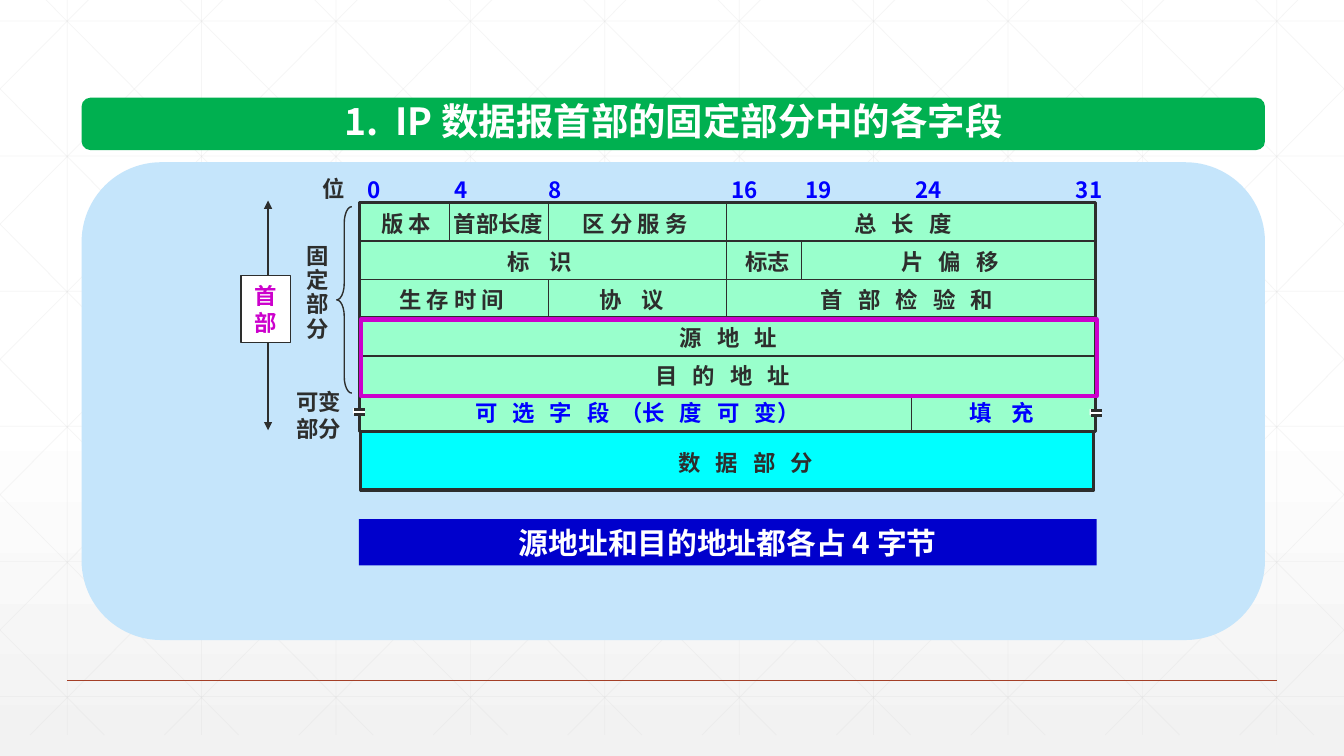
from dataclasses import dataclass

from lxml import etree
from pptx import Presentation
from pptx.dml.color import RGBColor
from pptx.enum.shapes import MSO_CONNECTOR, MSO_SHAPE
from pptx.enum.text import MSO_ANCHOR, PP_ALIGN
from pptx.oxml.ns import qn
from pptx.util import Pt

RECT = MSO_SHAPE.RECTANGLE
ROUNDED = MSO_SHAPE.ROUNDED_RECTANGLE
BRACE = MSO_SHAPE.LEFT_BRACE
STRAIGHT = MSO_CONNECTOR.STRAIGHT
MIDDLE = MSO_ANCHOR.MIDDLE
LEFT, CENTER = PP_ALIGN.LEFT, PP_ALIGN.CENTER

FONT = "Noto Sans CJK SC"
WIDTH, HEIGHT = 960, 540
COLORS = {
    "white": "FFFFFF", "haze": "F2F2F2", "grid": "D9D9D9", "rule": "A43F27",
    "title": "00B050", "panel": "C5E5FB", "header": "99FFCC", "data": "00FFFF",
    "ink": "2D2E2D", "bit": "0000FF", "accent": "CC00CC", "note": "0000CC",
}
Runs = tuple[tuple[str, float], ...]  # text and letter spacing in points


@dataclass
class Box:
    x: float
    y: float
    w: float
    h: float
    fill: str | None = None
    line: str | None = None
    weight: float = 1
    kind: int = RECT


@dataclass
class Label:
    x: float
    y: float
    w: float
    lines: tuple[Runs, ...]
    color: str = "ink"
    h: float = 28.8
    size: float = 16
    align: int = LEFT
    pitch: float | None = None
    inset: float = 9.6


@dataclass
class Line:
    x1: float
    y1: float
    x2: float
    y2: float
    color: str = "ink"
    weight: float = 1


def rgb(name: str) -> RGBColor:
    return RGBColor.from_string(COLORS[name])


def plain(text: str) -> Runs:
    return ((text, 0),)


def spread(text: str, gap: float = 3.6) -> Runs:
    return ((text[:-1], gap), (text[-1], 0))


def add_box(shapes, box: Box):
    shape = shapes.add_shape(box.kind, Pt(box.x), Pt(box.y), Pt(box.w), Pt(box.h))
    shape.shadow.inherit = False
    if box.fill:
        shape.fill.solid()
        shape.fill.fore_color.rgb = rgb(box.fill)
    else:
        shape.fill.background()
    if box.line:
        shape.line.color.rgb = rgb(box.line)
        shape.line.width = Pt(box.weight)
    else:
        shape.line.fill.background()
    return shape


def add_line(shapes, line: Line):
    connector = shapes.add_connector(
        STRAIGHT, Pt(line.x1), Pt(line.y1), Pt(line.x2), Pt(line.y2))
    connector.line.color.rgb = rgb(line.color)
    connector.line.width = Pt(line.weight)
    etree.SubElement(connector._element.spPr, qn("a:effectLst"))
    return connector


def write(shape, label: Label) -> None:
    frame = shape.text_frame
    frame.word_wrap = False
    frame.vertical_anchor = MIDDLE
    frame.margin_left = frame.margin_right = Pt(label.inset)
    frame.margin_top = frame.margin_bottom = Pt(label.inset / 2)
    for i, runs in enumerate(label.lines):
        paragraph = frame.add_paragraph() if i else frame.paragraphs[0]
        paragraph.alignment = label.align
        if label.pitch:
            paragraph.line_spacing = Pt(label.pitch)
        for text, gap in runs:
            run = paragraph.add_run()
            run.text = text
            run.font.name, run.font.size, run.font.bold = FONT, Pt(label.size), True
            run.font.color.rgb = rgb(label.color)
            properties = run.font._element
            etree.SubElement(properties, qn("a:ea")).set("typeface", FONT)
            if gap:
                properties.set("spc", str(round(gap * 100)))


def add_label(shapes, label: Label) -> None:
    write(shapes.add_textbox(Pt(label.x), Pt(label.y), Pt(label.w), Pt(label.h)), label)


def add_backdrop(slide) -> None:
    fill = slide.background.fill
    fill.gradient()
    fill.gradient_angle = 270
    for stop, color, position in zip(fill.gradient_stops, ("white", "haze"), (0.53, 1)):
        stop.color.rgb = rgb(color)
        stop.position = position

    top, bottom, step, run = -15, 525, 96, 536.5
    slope = (bottom - top) / run
    grid = [(48 + step * i, top, 48 + step * i, bottom) for i in range(10)]
    grid += [(0, 15 + 96.5 * i, WIDTH, 15 + 96.5 * i) for i in range(6)]
    for i in range(-5, 10):
        start = 18 + step * i
        x1, x2 = max(start, 0), min(start + run, WIDTH)
        y1, y2 = (top + (x - start) * slope for x in (x1, x2))
        grid += [(x1, y1, x2, y2), (WIDTH - x1, y1, WIDTH - x2, y2)]
    for ends in grid:
        line = add_line(slide.shapes, Line(*ends, "grid", 0.5))
        color = line.line._ln.find(".//" + qn("a:srgbClr"))
        etree.SubElement(color, qn("a:alpha")).set("val", "25000")
    add_line(slide.shapes, Line(48, 486, 912, 486, "rule"))


def add_datagram(shapes) -> None:
    left, right = 256.5, 783.4
    rows = [144.7 + 27.4 * i for i in range(7)]

    # Header and data blocks
    header = add_box(shapes, Box(257, rows[0], 525.6, 163.4, "header", "ink", 2))
    add_box(shapes, Box(257.8, 308.2, 523.4, 41.8, "data", "ink", 2.25))

    # Field borders
    for y in rows[1:6]:
        border = add_line(shapes, Line(left, y, right, y))
        if y == rows[3]:
            border.begin_connect(header, 1)
            border.end_connect(header, 3)
    for x, first, last in ((321.1, 0, 1), (391.7, 0, 1), (391.7, 2, 3),
                           (519.1, 0, 3), (650.9, 5, 6), (572.4, 1, 2)):
        add_line(shapes, Line(x, rows[first], x, min(rows[last], 308.2)))

    # Bit numbers
    for bit, x in ((0, 252.7), (4, 315.4), (8, 382.3), (16, 512.6),
                   (19, 565.9), (24, 644.4), (31, 758.9)):
        add_label(shapes, Label(x, 121, 28.8 if bit < 10 else 38.9, (plain(str(bit)),), "bit"))
    add_label(shapes, Label(221, 120.2, 35.3, (plain("位"),)))

    # Field names
    options = (("可 选 字 段", 3.6), (" （", 0), ("长 度 可 ", 3.6), ("变）", 0))
    for row, x, w, runs in (
        (0, 262.8, 56.2, plain("版 本")),
        (0, 314.6, 83.5, plain("首部长度")),
        (0, 406.8, 97.9, plain("区 分 服 务")),
        (0, 600.5, 96.5, spread("总 长 度")),
        (1, 352.8, 70.6, spread("标 识", 5.4)),
        (1, 522.7, 51.8, plain("标志")),
        (1, 634.3, 96.5, spread("片 偏 移")),
        (2, 275.8, 97.9, plain("生 存 时 间")),
        (2, 418.3, 70.6, spread("协 议", 5.4)),
        (2, 576.7, 157.7, spread("首 部 检 验 和")),
        (3, 475.9, 96.5, spread("源 地 址")),
        (4, 458.6, 126.7, spread("目 的 地 址")),
        (5, 329.8, 276.5, options),
        (5, 682.6, 70.6, spread("填 充", 5.4)),
    ):
        optional = row == 5
        y = 280 if optional else 145.4 + 27.2 * row
        add_label(shapes, Label(x, y, w, (runs,), "bit" if optional else "ink"))
    add_label(shapes, Label(435.6, 316, 194.4, (spread("数 据 部 分"),), align=CENTER))

    # Break marks on the variable row
    for x, y in ((252, 291.6), (778.3, 292.3)):
        add_box(shapes, Box(x, y, 8.6, 4.3, "white"))
        for edge in (y + 0.7, y + 4.3):
            add_line(shapes, Line(x + 0.7, edge, x + 8.6, edge, weight=2))


def add_side_notes(shapes) -> None:
    add_label(shapes, Label(209.5, 169.9, 35.3, tuple(map(plain, "固定部分")),
                            h=79.2, pitch=17.3))
    add_label(shapes, Label(202.3, 272.2, 51.8, (plain("可变"), plain("部分")),
                            h=48.2, pitch=19.2))
    brace = add_box(shapes, Box(240.5, 147.6, 10.8, 133.2, None, "ink", 1, BRACE))
    brace.adjustments[0], brace.adjustments[1] = 1.08, 0.5

    extent = add_line(shapes, Line(191.5, 143.3, 191.5, 307.4))
    for end in ("a:headEnd", "a:tailEnd"):
        etree.SubElement(extent.line._ln, qn(end)).set("type", "triangle")
    tag = Box(172.1, 196.6, 35.3, 48.2, "white", "ink")
    write(add_box(shapes, tag), Label(tag.x, tag.y, tag.w, (plain("首"), plain("部")),
                                      "accent", pitch=19.2))


def main() -> None:
    deck = Presentation()
    deck.slide_width, deck.slide_height = Pt(WIDTH), Pt(HEIGHT)
    slide = deck.slides.add_slide(deck.slide_layouts[6])
    shapes = slide.shapes
    add_backdrop(slide)

    # Title and panel
    add_box(shapes, Box(58.3, 69.8, 845.3, 37.4, "title", kind=ROUNDED))
    title = (("1", 0), (". ", 3), ("IP 数据报首部的固定部分中的各字段", 0))
    add_label(shapes, Label(234.7, 66.2, 493.2, (title,), "white", 39.6, 26.7, CENTER,
                            inset=2))
    add_box(shapes, Box(58.3, 115.9, 845.3, 341.3, "panel", kind=ROUNDED))

    add_datagram(shapes)
    add_side_notes(shapes)

    # Address note and highlight
    note = Box(256.3, 370.8, 527, 33.1, "note")
    write(add_box(shapes, note), Label(note.x, note.y, note.w,
          (plain("源地址和目的地址都各占 4 字节"),), "white", size=21.3, align=CENTER))
    add_box(shapes, Box(257.8, 228.2, 525.6, 54.7, None, "accent", 3))
    deck.save("out.pptx")


if __name__ == "__main__":
    main()
